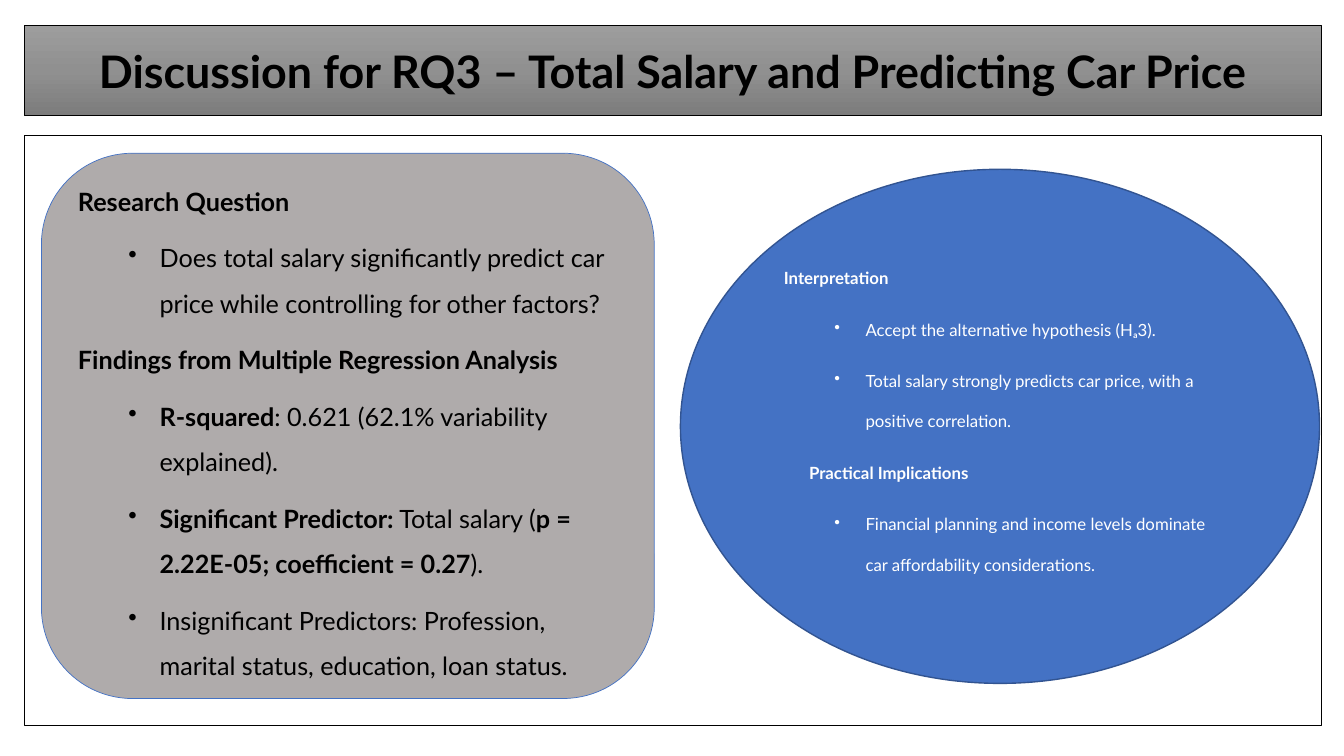
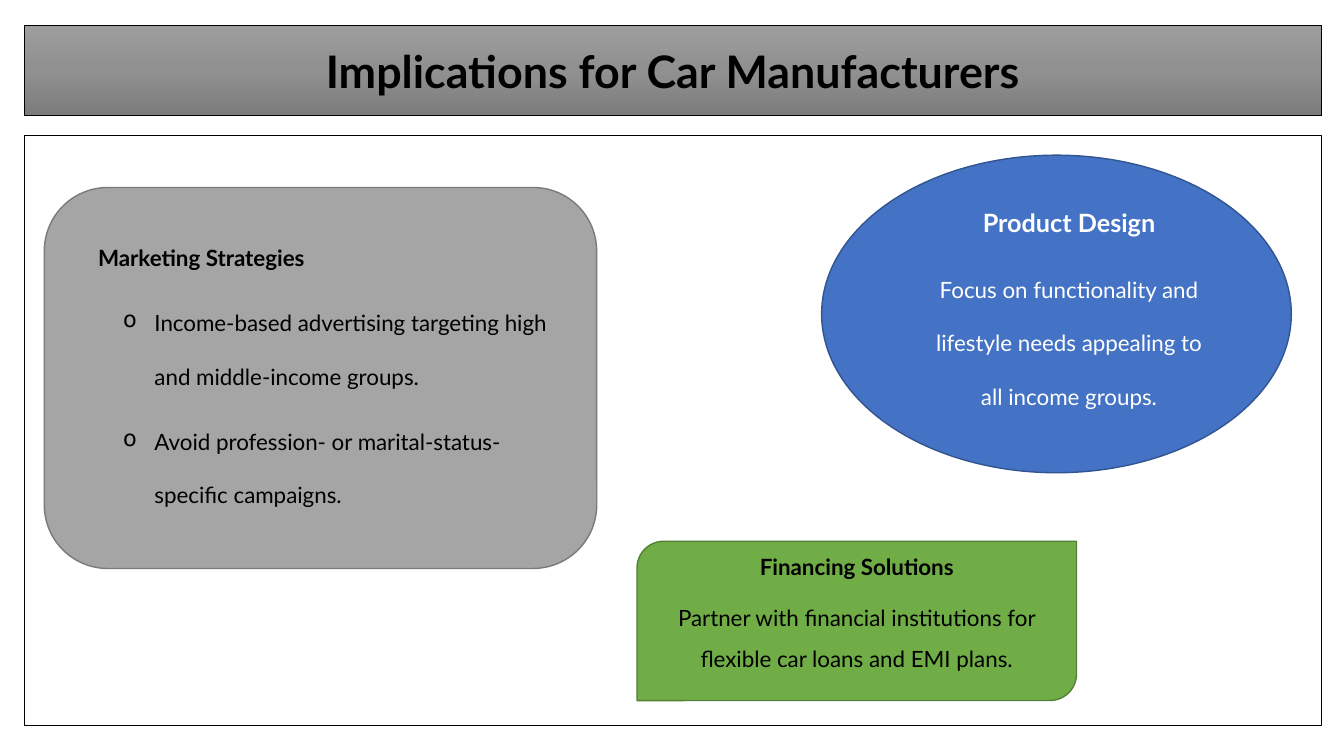
from copy import deepcopy

from lxml.etree import SubElement
from pptx import Presentation
from pptx.dml.color import RGBColor
from pptx.enum.shapes import MSO_SHAPE as SHAPE
from pptx.enum.text import MSO_ANCHOR as ANCHOR, MSO_AUTO_SIZE as AUTO, PP_ALIGN as ALIGN
from pptx.oxml.ns import qn
from pptx.util import Inches, Pt

W, H = Inches(13.33), Inches(7.5)
FONT = "Lato"
COLORS = {
    "black": "000000", "white": "FFFFFF",
    "band_top": "9D9D9D", "band_mid": "909090", "band_end": "7C7C7C",
    "warm_gray": "AFABAB", "gray": "A5A5A5", "gray_edge": "7A7A7A",
    "blue": "4472C4", "blue_edge": "325491",
    "green": "70AD47", "green_edge": "538035",
}

# Boxes as left, top, width, height in percent of the slide
BAND = (1.8, 3.33, 96.55, 12)
FRAME = (1.8, 17.87, 96.55, 78.13)


def rgb(name):
    return RGBColor.from_string(COLORS[name])


def place(box):
    left, top, width, height = box
    return [int(W * left / 100), int(H * top / 100),
            int(W * width / 100), int(H * height / 100)]


def outline(sp, color, width):
    sp.line.color.rgb = rgb(color)
    sp.line.width = Pt(width)


def add_run(p, text, size, color, bold):
    r = p.add_run()
    r.text = text
    r.font.name = FONT
    r.font.size = Pt(size)
    r.font.bold = bold
    r.font.color.rgb = rgb(color)


# Paragraph kinds: (runs, options)
def heading(text, **opts):
    return [(text, True)], opts


def body(text, **opts):
    return [(text, False)], opts


def bullet(*runs, char="•"):
    return runs, {"left": 0.81, "hang": 0.31, "char": char}


def format_paragraph(p, align, spacing, left=0, hang=0, char=None):
    p.alignment = align
    p.line_spacing = spacing
    p.space_after = Pt(8)
    pPr = p._p.get_or_add_pPr()
    pPr.set("marL", str(Inches(left)))
    pPr.set("indent", str(-Inches(hang)))
    if char:
        p.level = 1
        SubElement(pPr, qn("a:buChar")).set("char", char)


def add_panel(s, kind, box, fill, edge, edge_width=1):
    sp = s.shapes.add_shape(kind, *place(box))
    sp.shadow.inherit = False
    if fill:
        sp.fill.solid()
        sp.fill.fore_color.rgb = rgb(fill)
    else:
        sp.fill.background()
    outline(sp, edge, edge_width)
    return sp


def write(sp, paragraphs, color, size, spacing, align=ALIGN.LEFT, bottom=0.05):
    tf = sp.text_frame
    tf.word_wrap = True
    tf.vertical_anchor = ANCHOR.MIDDLE
    tf.margin_bottom = Inches(bottom)
    for i, (runs, opts) in enumerate(paragraphs):
        p = tf.add_paragraph() if i else tf.paragraphs[0]
        opts = dict(opts)
        p_size = opts.pop("size", size)
        format_paragraph(p, align, spacing, **opts)
        for text, bold in runs:
            add_run(p, text, p_size, color, bold)


def fill_band(sp):
    sp.fill.gradient()
    sp.fill.gradient_angle = 270
    stops = sp._element.spPr.find(qn("a:gradFill")).find(qn("a:gsLst"))
    stops.append(deepcopy(stops[0]))
    names = ("band_top", "band_mid", "band_end")
    for i, (stop, name) in enumerate(zip(sp.fill.gradient_stops, names)):
        stop.position = i / 2
        stop.color.rgb = rgb(name)


def new_slide(prs, title):
    """Slide with the shared title band and content frame."""
    s = prs.slides.add_slide(prs.slide_layouts[5])
    sp = s.shapes.title
    sp.left, sp.top, sp.width, sp.height = place(BAND)
    fill_band(sp)
    outline(sp, "black", 0.5)
    tf = sp.text_frame
    tf.word_wrap = True
    tf.auto_size = AUTO.NONE
    tf.vertical_anchor = ANCHOR.MIDDLE
    p = tf.paragraphs[0]
    p.alignment = ALIGN.CENTER
    add_run(p, title, 32, "black", True)
    add_panel(s, SHAPE.RECTANGLE, FRAME, None, "black", 0.75)
    return s


def discussion_slide(prs):
    s = new_slide(prs, "Discussion for RQ3 – Total Salary and Predicting Car Price")

    # Question and findings
    sp = add_panel(s, SHAPE.ROUNDED_RECTANGLE, (3.08, 20.27, 45.6, 72.13),
                   "warm_gray", "blue", 0.5)
    write(sp, [
        heading("Research Question"),
        bullet(("Does total salary significantly predict car price while "
                "controlling for other factors?", False)),
        heading("Findings from Multiple Regression Analysis"),
        bullet(("R-squared", True), (": 0.621 (62.1% variability explained).", False)),
        bullet(("Significant Predictor:", True), (" Total salary (", False),
               ("p = 2.22E-05; coefficient = 0.27", True), (").", False)),
        bullet(("Insignificant Predictors: Profession, marital status, "
                "education, loan status.", False)),
    ], "black", 18, 1.5)

    # Interpretation
    sp = add_panel(s, SHAPE.OVAL, (50.63, 22.4, 47.55, 68), "blue", "blue_edge")
    write(sp, [
        heading("Interpretation"),
        bullet(("Accept the alternative hypothesis (Hₐ3).", False)),
        bullet(("Total salary strongly predicts car price, with a positive "
                "correlation.", False)),
        heading("Practical Implications", left=0.25),
        bullet(("Financial planning and income levels dominate car "
                "affordability considerations.", False)),
    ], "white", 12, 2, bottom=0.35)


def implications_slide(prs):
    s = new_slide(prs, "Implications for Car Manufacturers")

    # Marketing
    sp = add_panel(s, SHAPE.ROUNDED_RECTANGLE, (3.3, 24.8, 41.1, 50.4),
                   "gray", "gray_edge")
    write(sp, [
        heading("Marketing Strategies", left=0.25),
        bullet(("Income-based advertising targeting high and middle-income "
                "groups.", False), char="o"),
        bullet(("Avoid profession- or marital-status-specific campaigns.",
                False), char="o"),
    ], "black", 16, 2, bottom=0.35)

    # Product design
    sp = add_panel(s, SHAPE.OVAL, (61.13, 20.53, 34.95, 42), "blue", "blue_edge")
    write(sp, [
        heading("Product Design", left=0.25, size=18),
        body("Focus on functionality and lifestyle needs appealing to all "
             "income groups.", left=0.25),
    ], "white", 16, 2, ALIGN.CENTER, bottom=0.45)

    # Financing
    sp = add_panel(s, SHAPE.ROUND_2_DIAG_RECTANGLE, (47.4, 71.6, 32.7, 21.07),
                   "green", "green_edge")
    write(sp, [
        heading("Financing Solutions"),
        body("Partner with financial institutions for flexible car loans and "
             "EMI plans."),
    ], "black", 16, 1.5, ALIGN.CENTER, bottom=0.35)


def main():
    prs = Presentation()
    prs.slide_width, prs.slide_height = W, H
    discussion_slide(prs)
    implications_slide(prs)
    prs.save("out.pptx")


if __name__ == "__main__":
    main()
